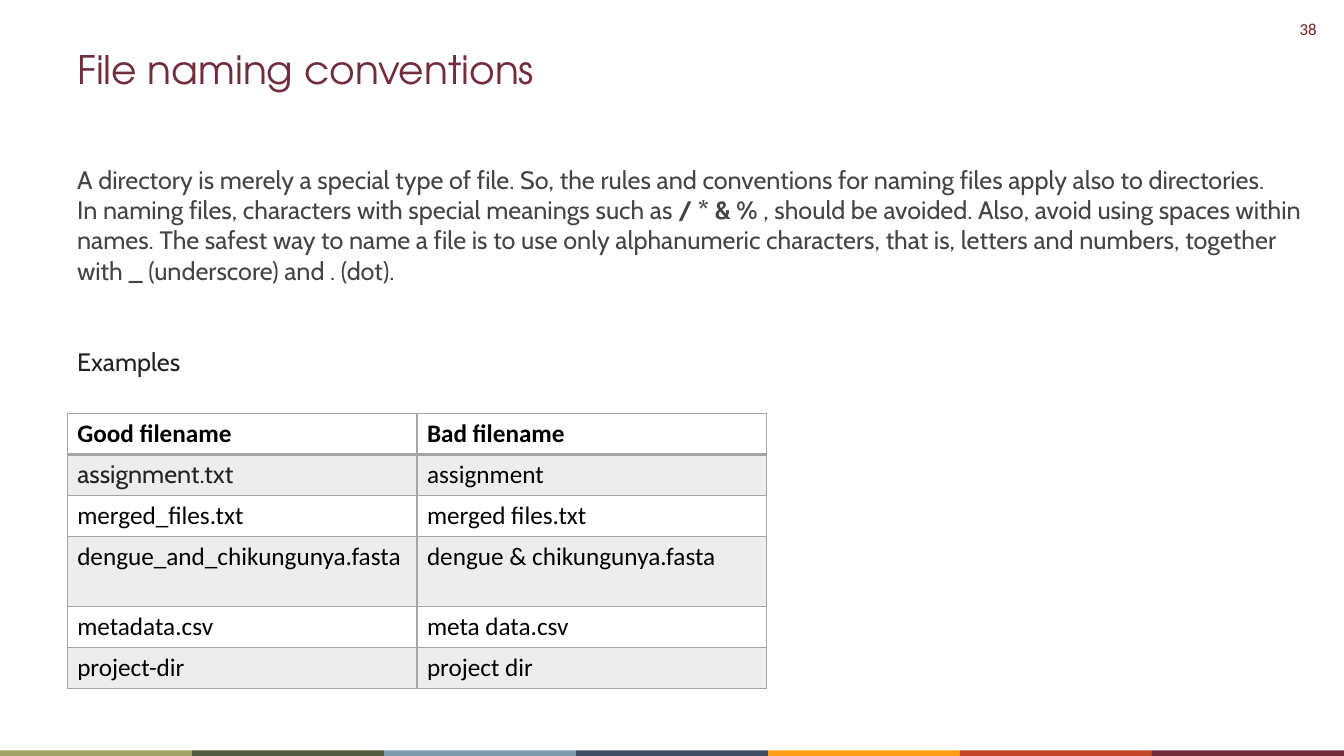
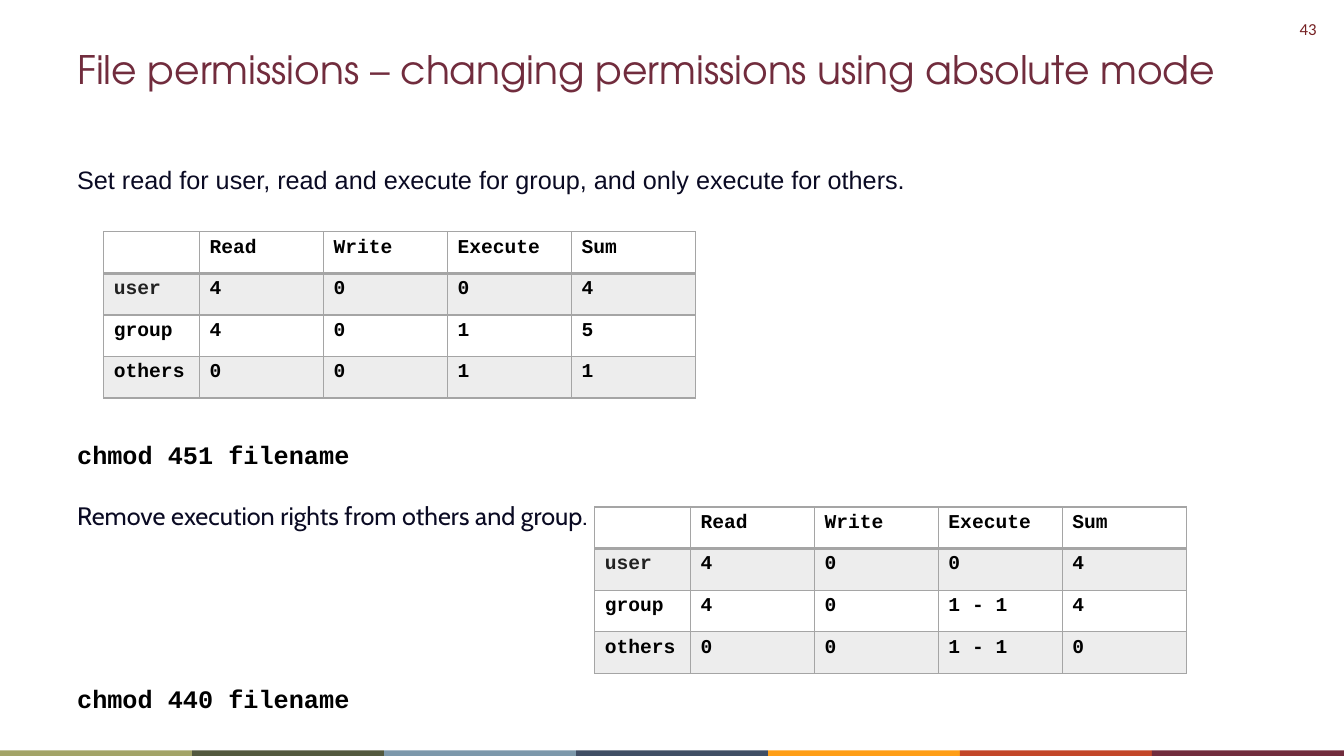
from lxml import etree
from pptx import Presentation
from pptx import util as u
from pptx.dml.color import RGBColor
from pptx.enum import shapes, text
from pptx.oxml import ns

COLS, ROWS = 40, 30
INK, DARK, BLACK, NAVY = "444444", "222222", "000000", "0A0A23"
WINE, RED, GRAY, STRIPE, WHITE = "712C3D", "762123", "A5A5A5", "EDEDED", "FFFFFF"
BANDS = ["A3A467", "53593E", "7C98AB", "404E65", "FF9E16", "C34628", WINE]
HEAD, BODY, TABLE, CODE = "TeX Gyre Adventor", "Cabin", "Calibri", "Courier New"


def rgb(color):
    return RGBColor.from_string(color)


class Deck:
    def __init__(self):
        self.prs = Presentation()
        self.prs.slide_width = u.Inches(13.33)
        self.prs.slide_height = u.Inches(7.5)
        self.s = None

    def x(self, cols):
        return round(self.prs.slide_width * cols / COLS)

    def y(self, rows):
        return round(self.prs.slide_height * rows / ROWS)

    def box(self, col, row, width, height):
        return self.x(col), self.y(row), self.x(width), self.y(height)

    def font(self, p, face, size, color, bold=False):
        p.font.name = face
        p.font.size = u.Pt(size)
        p.font.bold = bold
        p.font.color.rgb = rgb(color)

    def slide(self, title, number):
        self.s = self.prs.slides.add_slide(self.prs.slide_layouts[6])
        self.bands()
        p = self.text_frame(37.38, 0.56, 2.1, 1.2).paragraphs[0]
        p.text = number
        p.alignment = text.PP_ALIGN.RIGHT
        self.font(p, TABLE, 12, RED)
        p = self.text_frame(2, 1.33, 36, 2.56).paragraphs[0]
        p.text = title
        p.line_spacing = 1.14
        self.font(p, HEAD, 28, WINE)

    def bands(self):
        width = COLS / len(BANDS)
        for i, color in enumerate(BANDS):
            sp = self.s.shapes.add_shape(
                shapes.MSO_SHAPE.RECTANGLE, *self.box(i * width, 29.78, width, 0.22))
            sp.shadow.inherit = False
            sp.fill.solid()
            sp.fill.fore_color.rgb = rgb(color)
            sp.line.fill.background()

    def text_frame(self, *place):
        tf = self.s.shapes.add_textbox(*self.box(*place)).text_frame
        tf.word_wrap = True
        return tf

    def body(self, width, height, paragraphs):
        tf = self.text_frame(2, 6.32, width, height)
        for i, (runs, face, color, bold, gap) in enumerate(paragraphs):
            p = tf.add_paragraph() if i else tf.paragraphs[0]
            if gap:
                p.space_before = u.Pt(gap)
            self.font(p, face, 18, color, bold)
            for words, strong in runs:
                r = p.add_run()
                r.text = words
                if strong:
                    r.font.bold = True

    def borders(self, cell, top, bottom):
        tc_pr = cell._tc.get_or_add_tcPr()
        for side, width in (("L", 1), ("R", 1), ("T", top), ("B", bottom)):
            ln = etree.SubElement(tc_pr, ns.qn("a:ln" + side), w=str(u.Pt(width)))
            fill = etree.SubElement(ln, ns.qn("a:solidFill"))
            etree.SubElement(fill, ns.qn("a:srgbClr"), val=GRAY)

    def table(self, col, row, widths, heights, rows, face, size, key_face, bold):
        place = self.box(col, row, sum(widths), sum(heights))
        tbl = self.s.shapes.add_table(len(rows), len(widths), *place).table
        tbl.first_row = tbl.horz_banding = False
        for column, width in zip(tbl.columns, widths):
            column.width = self.x(width)
        for i, (values, height) in enumerate(zip(rows, heights)):
            tbl.rows[i].height = self.y(height)
            for j, value in enumerate(values):
                cell = tbl.cell(i, j)
                self.borders(cell, 2 if i == 1 else 1, 2 if i == 0 else 1)
                cell.fill.solid()
                cell.fill.fore_color.rgb = rgb(STRIPE if i % 2 else WHITE)
                p = cell.text_frame.paragraphs[0]
                p.text = value
                key = (i, j) == (1, 0)
                self.font(p, key_face if key else face, size,
                          DARK if key else BLACK, bold or i == 0)

    def permissions(self, col, row, user, group, others):
        rows = [["", "Read", "Write", "Execute", "Sum"],
                ["user", *user], ["group", *group], ["others", *others]]
        self.table(col, row, [2.85] + [3.69] * 4, [1.65] * 4, rows,
                   CODE, 14, CODE, True)


def main():
    deck = Deck()

    deck.slide("File naming conventions", "38")
    deck.body(37.1, 9, [
        ([("A directory is merely a special type of file. So, the rules and "
           "conventions for naming files apply also to directories.", False)],
         BODY, INK, False, 0),
        ([("In naming files, characters with special meanings such as ", False),
          ("/ * & %", True),
          (" , should be avoided. Also, avoid using spaces within names. The safest "
           "way to name a file is to use only alphanumeric characters, that is, "
           "letters and numbers, together with _ (underscore) and . (dot).", False)],
         BODY, INK, False, 0),
        ([("Examples", False)], BODY, DARK, False, 44),
    ])
    deck.table(2, 16.4, [10.41] * 2, [1.63, 1.63, 1.63, 2.78, 1.63, 1.63], [
        ["Good filename", "Bad filename"],
        ["assignment.txt", "assignment"],
        ["merged_files.txt", "merged files.txt"],
        ["dengue_and_chikungunya.fasta", "dengue & chikungunya.fasta"],
        ["metadata.csv", "meta data.csv"],
        ["project-dir", "project dir"],
    ], TABLE, 18, BODY, False)

    deck.slide("File permissions – changing permissions using absolute mode", "43")
    deck.body(35.2, 23.4, [
        ([("Set read for user, read and execute for group, and only execute "
           "for others.", False)], "Arial", NAVY, False, 0),
        ([("chmod 451 filename", False)], CODE, BLACK, True, 175),
        ([("Remove execution rights from others and group.", False)],
         BODY, NAVY, False, 22),
        ([("chmod 440 filename", False)], CODE, BLACK, True, 109),
    ])
    deck.permissions(3.09, 9.2, "4004", "4015", "0011")
    deck.permissions(17.7, 20.12, "4004", ["4", "0", "1 - 1", "4"],
                     ["0", "0", "1 - 1", "0"])

    deck.prs.save("out.pptx")


if __name__ == "__main__":
    main()
